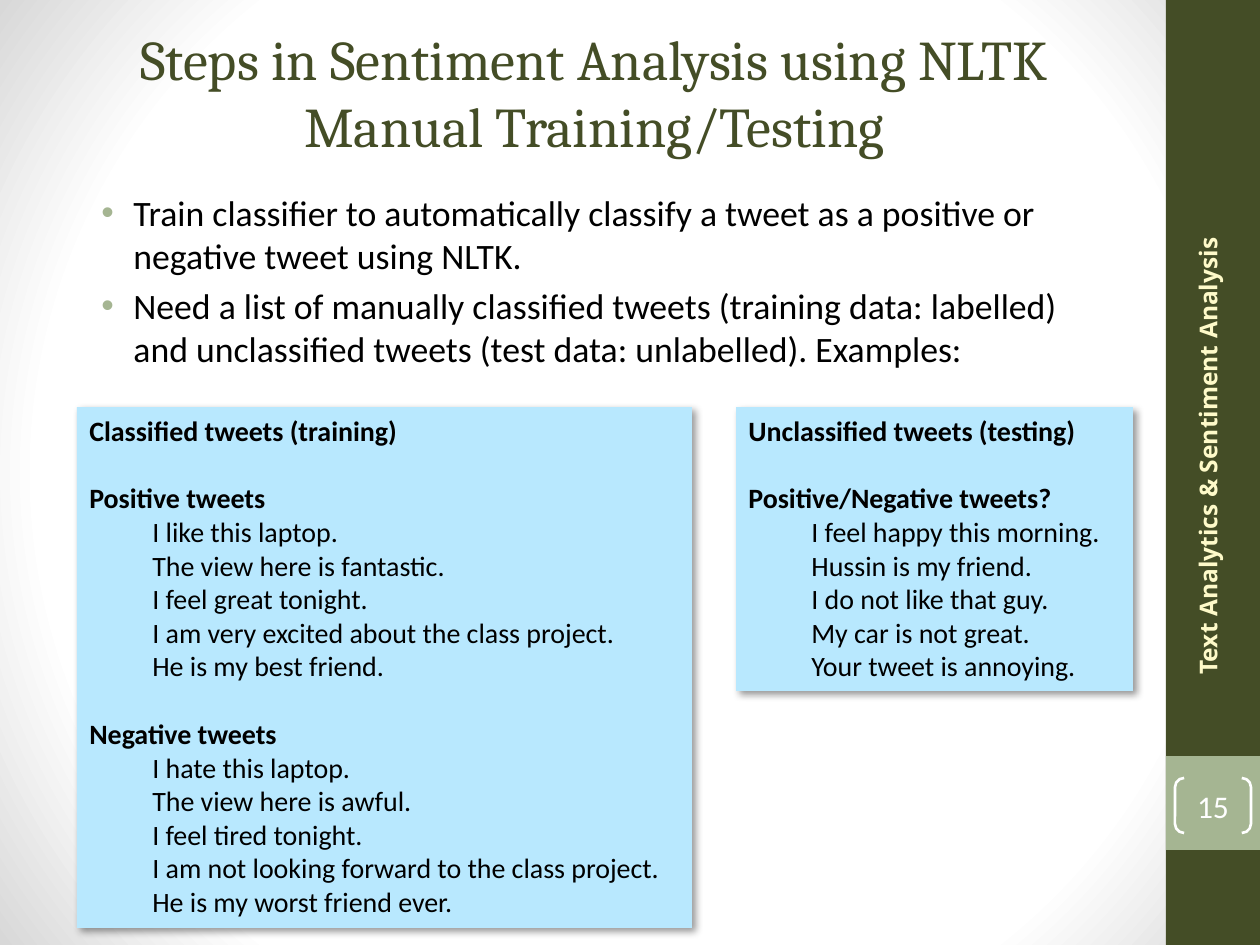
import pptx
import pptx.dml.color
import pptx.enum.shapes
import pptx.enum.text
import pptx.oxml
import pptx.oxml.ns
import pptx.util
from lxml import etree

RGBColor = pptx.dml.color.RGBColor
SHAPE = pptx.enum.shapes.MSO_SHAPE
ALIGN = pptx.enum.text.PP_ALIGN
ANCHOR = pptx.enum.text.MSO_ANCHOR
AUTO_SIZE = pptx.enum.text.MSO_AUTO_SIZE
Pt = pptx.util.Pt
qn = pptx.oxml.ns.qn

OLIVE = RGBColor(0x44, 0x4D, 0x26)
SAGE = RGBColor(0xA5, 0xB5, 0x92)
SKY = RGBColor(0xB8, 0xE8, 0xFE)
CREAM = RGBColor(0xFE, 0xFA, 0xC9)
BLACK = RGBColor(0, 0, 0)
WHITE = RGBColor(0xFF, 0xFF, 0xFF)

BACKGROUND = f"""<p:bg {pptx.oxml.ns.nsdecls('p', 'a')}><p:bgPr>
<a:gradFill rotWithShape="1"><a:gsLst>
<a:gs pos="0"><a:srgbClr val="FFFFFF"/></a:gs>
<a:gs pos="75000"><a:srgbClr val="FFFFFF"/></a:gs>
<a:gs pos="100000"><a:srgbClr val="D8D8D8"/></a:gs>
</a:gsLst><a:path path="circle">
<a:fillToRect l="50000" t="50000" r="50000" b="50000"/>
</a:path></a:gradFill><a:effectLst/></p:bgPr></p:bg>"""

GOALS = [
    "Train classifier to automatically classify a tweet as a positive or negative tweet using NLTK.",
    "Need a list of manually classified tweets (training data: labelled) and unclassified tweets "
    "(test data: unlabelled). Examples:",
]
TRAINING = {
    "Positive tweets": [
        "I like this laptop.",
        "The view here is fantastic.",
        "I feel great tonight.",
        "I am very excited about the class project.",
        "He is my best friend.",
    ],
    "Negative tweets": [
        "I hate this laptop.",
        "The view here is awful.",
        "I feel tired tonight.",
        "I am not looking forward to the class project.",
        "He is my worst friend ever.",
    ],
}
TESTING = {
    "Positive/Negative tweets?": [
        "I feel happy this morning.",
        "Hussin is my friend.",
        "I do not like that guy.",
        "My car is not great.",
        "Your tweet is annoying.",
    ],
}


def px(n):
    return pptx.util.Emu(round(n * 914400 / 126))


def box(x, y, w, h):
    return px(x), px(y), px(w), px(h)


def add_text(tf, text, size=16, font="Calibri", color=BLACK, bold=False,
             align=ALIGN.LEFT, before=0, left=0, hanging=0, bullet=None):
    p = tf.paragraphs[0]
    if p.runs:
        p = tf.add_paragraph()
    p.text = text
    p.alignment = align
    p.space_before = Pt(before)
    for r in p.runs:
        r.font.size = Pt(size)
        r.font.name = font
        r.font.bold = bold
        r.font.color.rgb = color
    pPr = p._p.get_or_add_pPr()
    pPr.set("marL", str(px(left)))
    pPr.set("indent", str(-px(hanging)))
    if bullet:
        clr = etree.SubElement(pPr, qn("a:buClr"))
        etree.SubElement(clr, qn("a:srgbClr"), val=str(bullet))
        etree.SubElement(pPr, qn("a:buFont"), typeface="Arial")
        etree.SubElement(pPr, qn("a:buChar"), char="•")


def text_frame(sp, anchor=ANCHOR.TOP):
    tf = sp.text_frame
    tf.word_wrap = True
    tf.auto_size = AUTO_SIZE.NONE
    tf.vertical_anchor = anchor
    return tf


def add_panel(s, x, y, w, h, fill):
    sp = s.shapes.add_shape(SHAPE.RECTANGLE, *box(x, y, w, h))
    sp.shadow.inherit = False
    sp.fill.solid()
    sp.fill.fore_color.rgb = fill
    sp.line.fill.background()
    return sp


def add_shadow(sp):
    effects = sp._element.spPr.find(qn("a:effectLst"))
    shadow = etree.SubElement(effects, qn("a:outerShdw"), blurRad=str(Pt(4)),
                              dist=str(Pt(3)), dir="2700000", algn="tl", rotWithShape="0")
    clr = etree.SubElement(shadow, qn("a:srgbClr"), val="000000")
    etree.SubElement(clr, qn("a:alpha"), val="40000")


def add_tweets(s, x, y, w, h, heading, groups):
    sp = add_panel(s, x, y, w, h, SKY)
    add_shadow(sp)
    tf = text_frame(sp)
    add_text(tf, heading, bold=True)
    for label, tweets in groups.items():
        add_text(tf, label, bold=True, before=19.5)
        for tweet in tweets:
            add_text(tf, tweet, left=63)


def add_title(s, text):
    sp = s.shapes.title
    sp.left, sp.top, sp.width, sp.height = box(63, 38, 1063, 107)
    add_text(text_frame(sp, ANCHOR.MIDDLE), text, size=32, font="Cambria",
             color=OLIVE, align=ALIGN.CENTER)


def add_goals(s):
    tf = text_frame(s.shapes.add_textbox(*box(73, 185, 1042, 208)))
    for i, goal in enumerate(GOALS):
        add_text(tf, goal, size=20.4, before=4.1 if i else 0,
                 left=48, hanging=32, bullet=SAGE)


def add_page_number(s, number):
    sp = s.shapes.add_shape(SHAPE.DOUBLE_BRACKET, *box(1175, 778, 76, 55))
    sp.shadow.inherit = False
    sp.fill.background()
    sp.line.color.rgb = WHITE
    sp.line.width = Pt(1.5)
    tf = text_frame(sp, ANCHOR.MIDDLE)
    tf.margin_left = tf.margin_right = tf.margin_top = tf.margin_bottom = 0
    add_text(tf, number, size=18, color=WHITE, align=ALIGN.CENTER)


def add_side_label(s, text):
    sp = s.shapes.add_textbox(*box(917, 431, 581, 50))
    sp.rotation = 270
    add_text(text_frame(sp, ANCHOR.MIDDLE), text, size=14, font="Open Sans",
             color=CREAM, bold=True, align=ALIGN.CENTER)


def main():
    prs = pptx.Presentation()
    prs.slide_width, prs.slide_height = px(1260), px(945)
    s = prs.slides.add_slide(prs.slide_layouts[5])
    s._element.cSld.insert(0, pptx.oxml.parse_xml(BACKGROUND))
    add_panel(s, 1166, 0, 94, 945, OLIVE)
    add_panel(s, 1166, 756, 94, 94, SAGE)
    add_title(s, "Steps in Sentiment Analysis using NLTK\vManual Training/Testing")
    add_goals(s)
    add_page_number(s, "15")
    add_tweets(s, 77, 407, 615, 521, "Classified tweets (training)", TRAINING)
    add_tweets(s, 736, 407, 397, 284, "Unclassified tweets (testing)", TESTING)
    add_side_label(s, "Text Analytics & Sentiment Analysis")
    prs.save("out.pptx")


if __name__ == "__main__":
    main()
